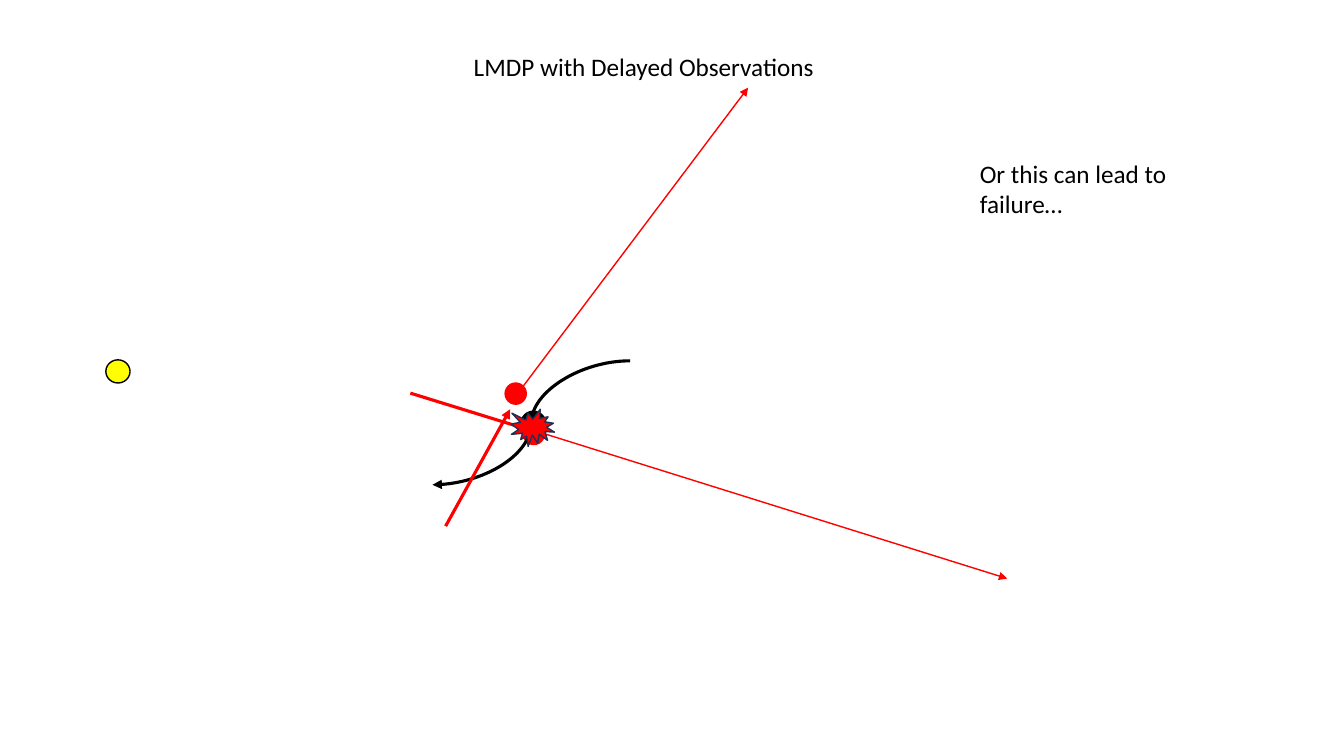
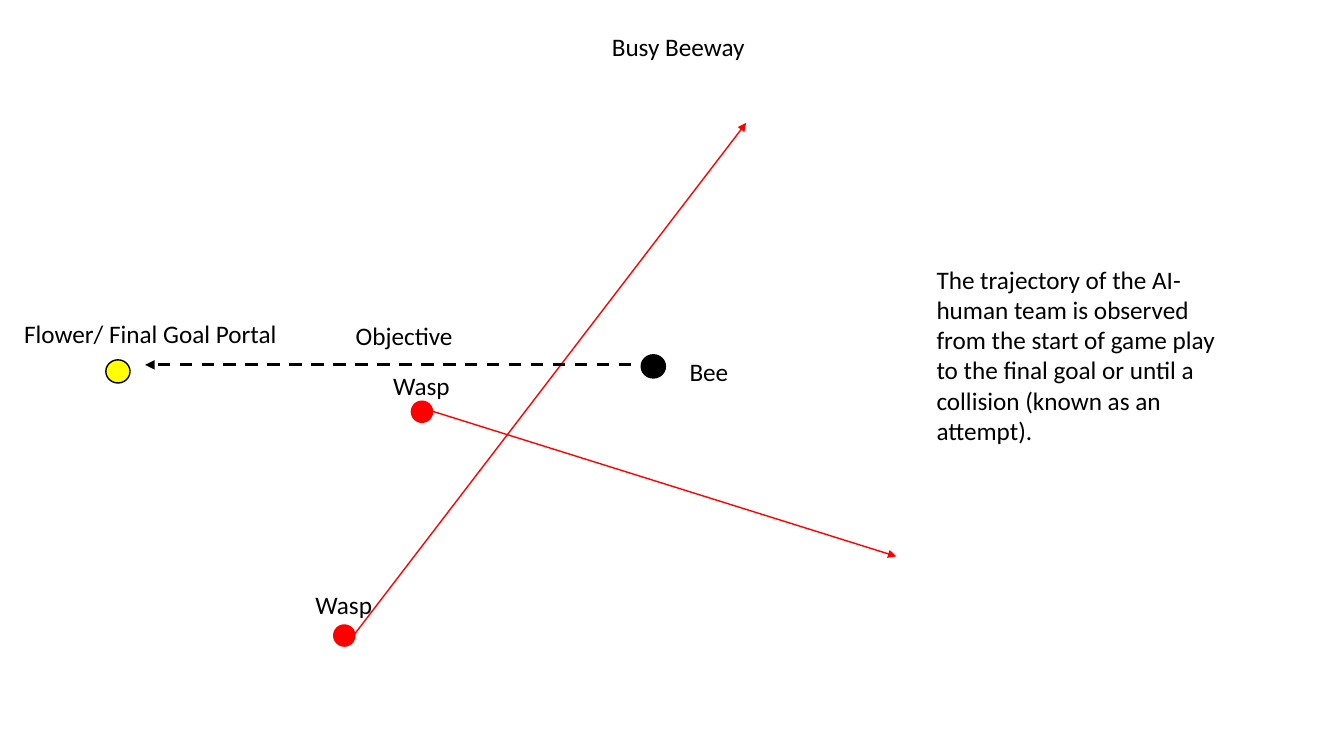
from dataclasses import dataclass

from lxml import etree
from pptx import Presentation
from pptx.dml.color import RGBColor
from pptx.enum.dml import MSO_LINE
from pptx.enum.shapes import MSO_CONNECTOR, MSO_SHAPE
from pptx.enum.text import MSO_AUTO_SIZE
from pptx.oxml.ns import qn
from pptx.slide import Slide
from pptx.util import Inches, Pt

STRAIGHT = MSO_CONNECTOR.STRAIGHT
CURVE = MSO_CONNECTOR.CURVE
OVAL = MSO_SHAPE.OVAL
BURST = MSO_SHAPE.EXPLOSION1
DASH = MSO_LINE.DASH
FIT_SHAPE = MSO_AUTO_SIZE.SHAPE_TO_FIT_TEXT

# Shared style
FONT = "Calibri"
FONT_SIZE = 18
BLACK = "000000"
RED = "FF0000"
YELLOW = "FFFF00"
NAVY = "1E3256"
THIN = 1
THICK = 2.25
LINE_HEIGHT = 0.4


@dataclass(frozen=True)
class Marker:
    left: float
    top: float
    width: float
    height: float
    fill: str
    outline: str = BLACK
    preset: MSO_SHAPE = OVAL


@dataclass(frozen=True)
class Arrow:
    start: tuple[float, float]
    end: tuple[float, float]
    color: str = RED
    weight: float = THIN
    kind: MSO_CONNECTOR = STRAIGHT
    dashed: bool = False


@dataclass(frozen=True)
class Label:
    text: str
    left: float
    top: float
    width: float
    height: float = LINE_HEIGHT
    wrap: bool = False


def color(value: str) -> RGBColor:
    return RGBColor.from_string(value)


def bee(left: float, top: float) -> Marker:
    return Marker(left, top, 0.24, 0.23, BLACK)


def wasp(left: float, top: float) -> Marker:
    return Marker(left, top, 0.21, 0.21, RED, RED)


FLOWER = Marker(1.05, 3.57, 0.24, 0.23, YELLOW)


def add_marker(slide: Slide, marker: Marker) -> None:
    shape = slide.shapes.add_shape(
        marker.preset, Inches(marker.left), Inches(marker.top),
        Inches(marker.width), Inches(marker.height))
    shape.shadow.inherit = False
    shape.fill.solid()
    shape.fill.fore_color.rgb = color(marker.fill)
    shape.line.color.rgb = color(marker.outline)
    shape.line.width = Pt(THIN)


def add_arrow(slide: Slide, arrow: Arrow) -> None:
    connector = slide.shapes.add_connector(
        arrow.kind, *(Inches(value) for value in arrow.start + arrow.end))
    connector.line.color.rgb = color(arrow.color)
    connector.line.width = Pt(arrow.weight)
    if arrow.dashed:
        connector.line.dash_style = DASH
    properties = connector._element.spPr
    etree.SubElement(properties.find(qn("a:ln")), qn("a:tailEnd"), type="triangle")
    etree.SubElement(properties, qn("a:effectLst"))


def add_label(slide: Slide, label: Label) -> None:
    box = slide.shapes.add_textbox(
        Inches(label.left), Inches(label.top), Inches(label.width), Inches(label.height))
    frame = box.text_frame
    frame.word_wrap = label.wrap
    frame.auto_size = FIT_SHAPE
    paragraph = frame.paragraphs[0]
    paragraph.text = label.text
    paragraph.font.name = FONT
    paragraph.font.size = Pt(FONT_SIZE)
    paragraph.font.color.rgb = color(BLACK)


def add_scene(presentation: Presentation, markers: list[Marker],
              arrows: list[Arrow], labels: list[Label]) -> Slide:
    slide = presentation.slides.add_slide(presentation.slide_layouts[6])
    for marker in [FLOWER, *markers]:
        add_marker(slide, marker)
    for arrow in arrows:
        add_arrow(slide, arrow)
    for label in labels:
        add_label(slide, label)
    return slide


def build_delayed_observations(presentation: Presentation) -> None:
    slide = add_scene(
        presentation,
        [bee(5.17, 4.08), wasp(5.19, 4.2), wasp(5.01, 3.8)],
        [
            Arrow((5.39, 4.3), (9.99, 5.74)),
            Arrow((5.19, 3.83), (7.42, 0.87)),
            Arrow((6.25, 3.58), (4.29, 4.81), BLACK, THICK, CURVE),
            Arrow((4.07, 3.9), (5.33, 4.29), weight=THICK),
            Arrow((4.42, 5.22), (5.06, 4.06), weight=THICK),
        ],
        [
            Label("LMDP with Delayed Observations", 4.6, 0.46, 3.61),
            Label("Or this can lead to failure…", 9.62, 1.52, 2.84, 0.71, wrap=True),
        ])
    # The collision lies over the paths that meet there
    add_marker(slide, Marker(5.07, 4.06, 0.43, 0.37, RED, NAVY, BURST))


def build_busy_beeway(presentation: Presentation) -> None:
    add_scene(
        presentation,
        [bee(6.36, 3.52), wasp(4.08, 3.98), wasp(3.31, 6.2)],
        [
            Arrow((4.29, 4.08), (8.89, 5.52)),
            Arrow((3.51, 6.3), (7.4, 1.22)),
            Arrow((6.26, 3.62), (1.44, 3.62), BLACK, THICK, dashed=True),
        ],
        [
            Label("Busy Beeway", 5.97, 0.26, 1.53),
            Label("Bee", 6.74, 3.49, 0.59),
            Label("Wasp", 3.03, 5.8, 0.77),
            Label("Wasp", 3.8, 3.62, 0.77),
            Label("Flower/ Final Goal Portal", 0.14, 3.11, 2.73),
            Label("Objective", 3.43, 3.13, 1.17),
            Label("The trajectory of the AI-human team is observed from the start of "
                  "game play to the final goal or until a collision (known as an attempt).",
                  9.19, 2.57, 3.19, 1.92, wrap=True),
        ])


def main() -> None:
    presentation = Presentation()
    presentation.slide_width = Inches(13.33)
    presentation.slide_height = Inches(7.5)
    build_delayed_observations(presentation)
    build_busy_beeway(presentation)
    presentation.save("out.pptx")


if __name__ == "__main__":
    main()
